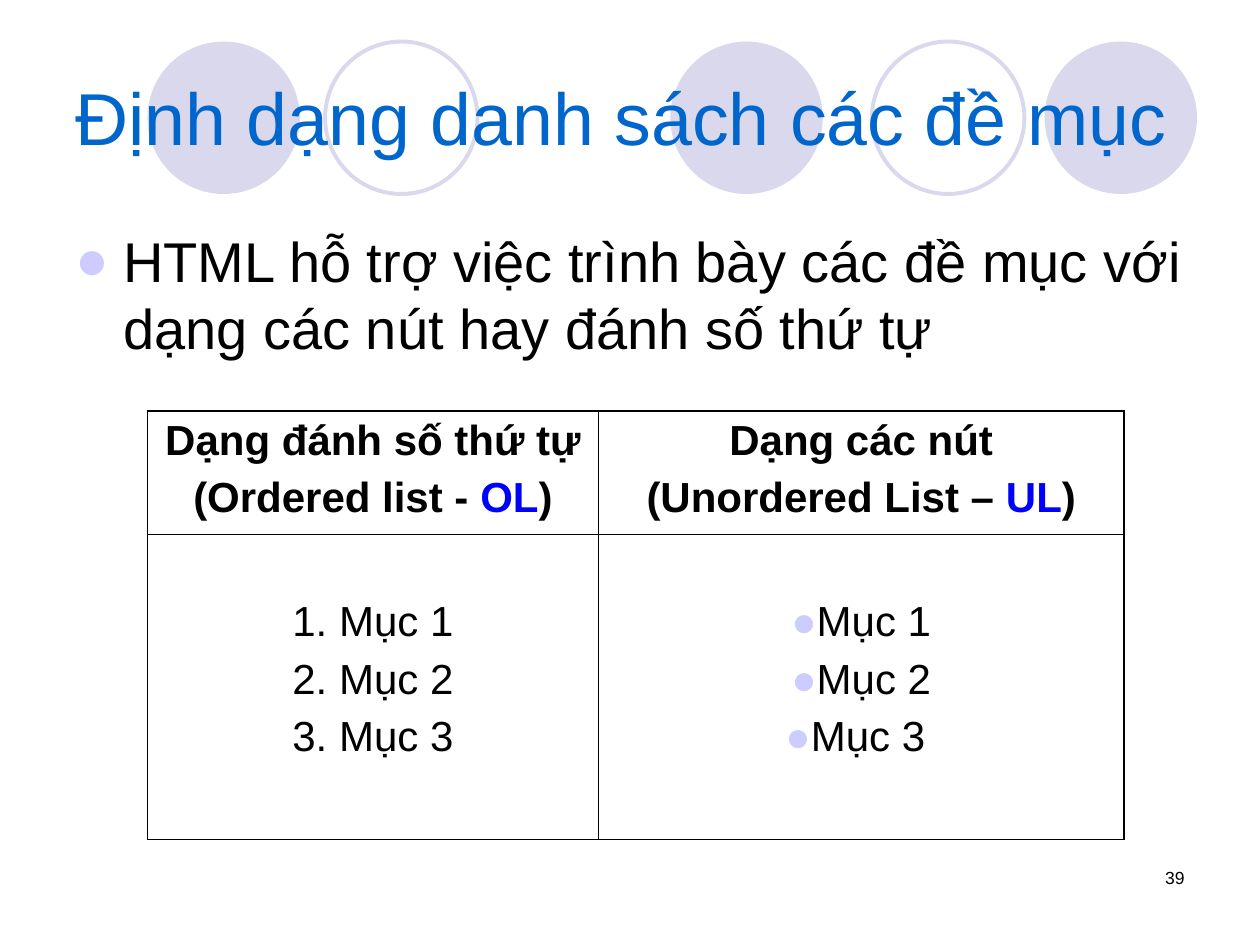
from dataclasses import dataclass

import lxml.etree
import pptx
import pptx.dml.color
import pptx.enum.shapes
import pptx.enum.text
import pptx.oxml.ns
import pptx.util

Inches = pptx.util.Inches
RGBColor = pptx.dml.color.RGBColor
Align = pptx.enum.text.PP_ALIGN
Anchor = pptx.enum.text.MSO_ANCHOR

LAVENDER = RGBColor(0xD9, 0xD8, 0xEC)
BULLET = RGBColor(0xCC, 0xCC, 0xFF)
TITLE_BLUE = RGBColor(0x00, 0x66, 0xCC)
TAG_BLUE = RGBColor(0x00, 0x00, 0xFF)
BLACK = RGBColor(0, 0, 0)
OUTER, INNER = 1.08, 0.45


@dataclass(frozen=True)
class Circle:
    left: float
    filled: bool


@dataclass(frozen=True)
class Line:
    spans: tuple[tuple[str, RGBColor], ...]
    bold: bool = False
    bullet: bool = False


CIRCLES = (
    Circle(5.32, True),
    Circle(8.29, True),
    Circle(1.17, True),
    Circle(6.92, False),
    Circle(2.58, False),
)


def heading(name: str, kind: str, tag: str) -> list[Line]:
    return [
        Line(((name, BLACK),), bold=True),
        Line(((kind, BLACK), (tag, TAG_BLUE), (")", BLACK)), bold=True),
    ]


ORDERED = [Line(((f"{number}. Mục {number}", BLACK),)) for number in (1, 2, 3)]
UNORDERED = [Line(((text, BLACK),), bullet=True) for text in ("Mục 1", "Mục 2", "Mục 3 ")]
ROWS = (
    (
        heading("Dạng đánh số thứ tự", "(Ordered list - ", "OL"),
        heading("Dạng các nút", "(Unordered List – ", "UL"),
    ),
    (ORDERED, UNORDERED),
)


def add_element(parent, tag: str, **attributes: str):
    return lxml.etree.SubElement(parent, pptx.oxml.ns.qn(tag), attributes)


def add_bullet(para, indent: float = 0) -> None:
    properties = para._p.get_or_add_pPr()
    properties.set("marL", str(Inches(indent)))
    properties.set("indent", str(-Inches(indent)))
    add_element(add_element(properties, "a:buClr"), "a:srgbClr", val=str(BULLET))
    add_element(properties, "a:buFont", typeface="Arial")
    add_element(properties, "a:buChar", char="●")


def add_span(para, text: str, *, size: float, color: RGBColor, bold: bool = False) -> None:
    span = para.add_run()
    span.text = text
    span.font.name = "Arial"
    span.font.size = pptx.util.Pt(size)
    span.font.bold = bold
    span.font.color.rgb = color


def add_text(page, text: str, *, left: float, top: float, width: float, height: float,
             size: float, color: RGBColor = BLACK, align=Align.LEFT,
             anchor=Anchor.TOP, bullet: bool = False) -> None:
    box = page.shapes.add_textbox(Inches(left), Inches(top), Inches(width), Inches(height))
    frame = box.text_frame
    frame.word_wrap = True
    frame.vertical_anchor = anchor
    para = frame.paragraphs[0]
    para.alignment = align
    if bullet:
        add_bullet(para, 0.38)
    add_span(para, text, size=size, color=color)


def draw_circle(page, circle: Circle) -> None:
    shape = page.shapes.add_shape(
        pptx.enum.shapes.MSO_SHAPE.OVAL,
        Inches(circle.left), Inches(0.33), Inches(1.21), Inches(1.21),
    )
    shape.shadow.inherit = False
    if circle.filled:
        shape.fill.solid()
        shape.fill.fore_color.rgb = LAVENDER
        shape.line.fill.background()
    else:
        shape.fill.background()
        shape.line.color.rgb = LAVENDER
        shape.line.width = pptx.util.Pt(2.25)


def set_borders(cell, widths: dict[str, float]) -> None:
    properties = cell._tc.get_or_add_tcPr()
    for side, width in widths.items():
        border = add_element(properties, f"a:ln{side}", w=str(pptx.util.Pt(width)))
        add_element(add_element(border, "a:solidFill"), "a:srgbClr", val=str(BLACK))


def fill_cell(cell, lines: list[Line], row: int, column: int) -> None:
    set_borders(cell, {
        "L": INNER if column else OUTER,
        "R": OUTER if column else INNER,
        "T": INNER if row else OUTER,
        "B": OUTER if row else INNER,
    })
    cell.fill.background()
    cell.margin_top = Inches(0.51 if row else 0.05)
    frame = cell.text_frame
    for index, line in enumerate(lines):
        para = frame.add_paragraph() if index else frame.paragraphs[0]
        para.alignment = Align.CENTER
        if index:
            para.space_before = pptx.util.Pt(6)
        if line.bullet:
            add_bullet(para)
        for text, color in line.spans:
            add_span(para, text, size=24, color=color, bold=line.bold)


def draw_table(page) -> None:
    table = page.shapes.add_table(
        2, 2, Inches(1.17), Inches(3.26), Inches(7.75), Inches(3.4)
    ).table
    table.first_row = False
    table.horz_banding = False
    for column, width in zip(table.columns, (3.58, 4.17)):
        column.width = Inches(width)
    for row, height in zip(table.rows, (0.98, 2.42)):
        row.height = Inches(height)
    for row, contents in enumerate(ROWS):
        for column, lines in enumerate(contents):
            fill_cell(table.cell(row, column), lines, row, column)


def main() -> None:
    """Build the slide on ordered and unordered lists."""
    deck = pptx.Presentation()
    deck.slide_width, deck.slide_height = Inches(10), Inches(7.5)
    page = deck.slides.add_slide(deck.slide_layouts[6])
    for circle in CIRCLES:
        draw_circle(page, circle)
    add_text(page, "39", left=7.17, top=6.83, width=2.33, height=0.5,
             size=10, align=Align.RIGHT)
    add_text(page, "Định dạng danh sách các đề mục", left=0.5, top=0.3, width=9,
             height=1.25, size=42, color=TITLE_BLUE, anchor=Anchor.MIDDLE)
    add_text(page, "HTML hỗ trợ việc trình bày các đề mục với dạng các nút hay đánh số thứ tự",
             left=0.5, top=1.75, width=9, height=4.95, size=32, bullet=True)
    draw_table(page)
    deck.save("out.pptx")


if __name__ == "__main__":
    main()
